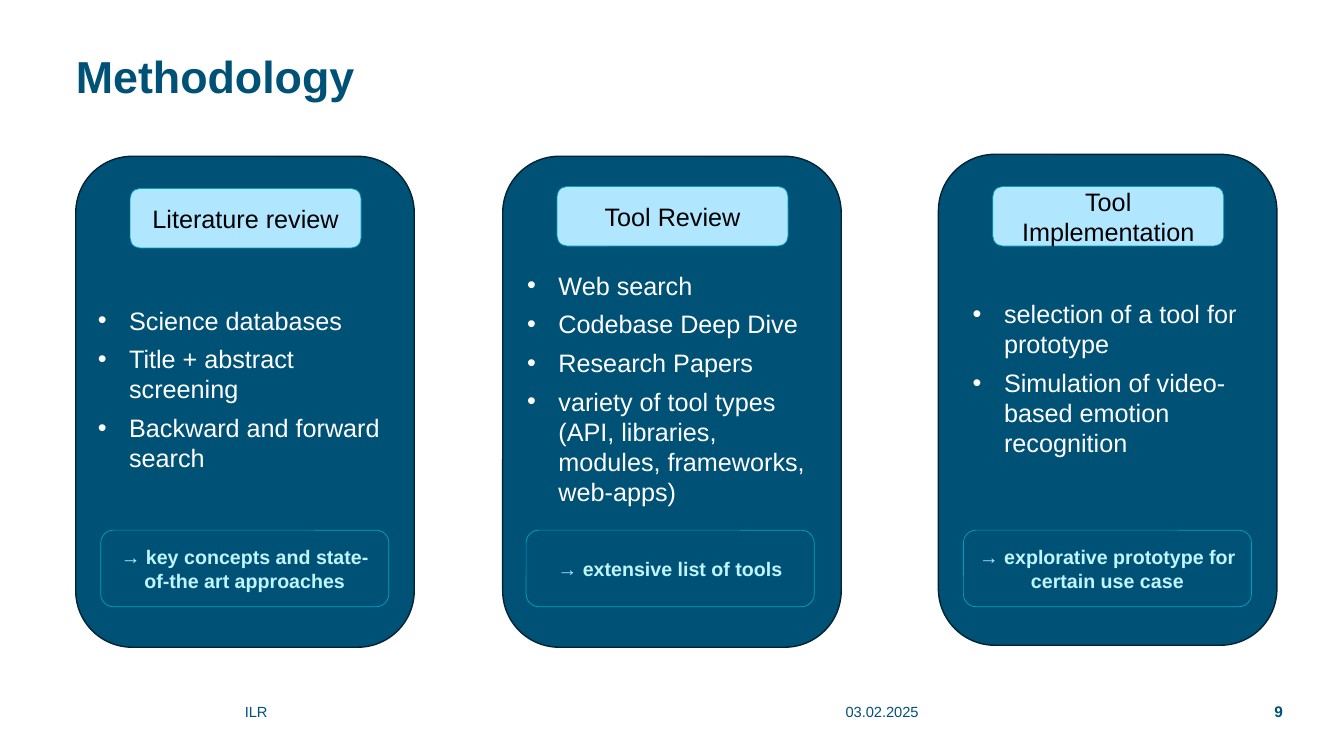
"""Build the Methodology slide: three cards with a heading, a bullet list and an outcome."""
from dataclasses import dataclass

from lxml.etree import SubElement
from pptx import Presentation
from pptx.dml.color import RGBColor
from pptx.enum.shapes import MSO_SHAPE
from pptx.enum.text import MSO_ANCHOR, MSO_AUTO_SIZE, PP_ALIGN
from pptx.oxml.ns import qn
from pptx.shapes.autoshape import Shape
from pptx.slide import Slide
from pptx.text.text import Font, TextFrame
from pptx.util import Cm, Pt

NAVY = RGBColor(0x00, 0x51, 0x76)
CARD_EDGE = RGBColor(0x00, 0x24, 0x34)
CYAN_EDGE = RGBColor(0x00, 0xA1, 0xC0)
SKY = RGBColor(0xB1, 0xE6, 0xFF)
ICE = RGBColor(0xBF, 0xF5, 0xFF)
WHITE = RGBColor(0xFF, 0xFF, 0xFF)
BLACK = RGBColor(0x00, 0x00, 0x00)

CARD_WIDTH, CARD_HEIGHT = 8.53, 12.37
HEADING_INSET, HEADING_WIDTH, HEADING_HEIGHT = 1.37, 5.82, 1.5
LIST_WIDTH, LIST_INDENT = 8.0, 0.79
OUTCOME_TOP, OUTCOME_WIDTH, OUTCOME_HEIGHT = 13.36, 7.26, 1.93
FOOTER_TOP, FOOTER_HEIGHT = 17.58, 0.69


@dataclass(frozen=True)
class Step:
    """One card; positions are in centimetres."""
    heading: str
    points: tuple[str, ...]
    outcome: str
    arrow_color: RGBColor
    left: float
    top: float
    heading_top: float
    list_left: float
    list_top: float
    list_height: float
    outcome_left: float


@dataclass(frozen=True)
class FooterItem:
    """One footer text; positions are in centimetres."""
    text: str
    left: float
    width: float
    size: float
    bold: bool = False
    align: PP_ALIGN = PP_ALIGN.LEFT


STEPS = (
    Step("Literature review",
         ("Science databases", "Title + abstract screening", "Backward and forward search"),
         "key concepts and state-of-the art approaches", ICE,
         1.91, 3.94, 4.75, 2.21, 7.54, 4.52, 2.54),
    Step("Tool Review",
         ("Web search", "Codebase Deep Dive", "Research Papers",
          "variety of tool types (API, libraries, modules, frameworks, web-apps)"),
         "extensive list of tools", SKY,
         12.67, 3.94, 4.7, 13.03, 6.65, 6.27, 13.26),
    Step("Tool Implementation",
         ("selection of a tool for prototype", "Simulation of video-based emotion recognition"),
         "explorative prototype for certain use case", SKY,
         23.65, 3.89, 4.7, 24.26, 7.37, 4.32, 24.28),
)

FOOTER = (
    FooterItem("ILR", 6.17, 14.35, 10.5),
    FooterItem("03.02.2025", 21.31, 3.4, 10.5),
    FooterItem("9", 24.71, 7.62, 11, True, PP_ALIGN.RIGHT),
)


def style(font: Font, size: float, color: RGBColor, bold: bool = False) -> None:
    """Set the typeface, size, colour and weight."""
    font.name, font.size, font.bold = "Arial", Pt(size), bold
    font.color.rgb = color


def place(shape: Shape, left: float, top: float, width: float, height: float) -> None:
    """Move and size a shape, in centimetres."""
    shape.left, shape.top = Cm(left), Cm(top)
    shape.width, shape.height = Cm(width), Cm(height)


def clear_margins(frame: TextFrame) -> None:
    """Remove the inner margins of a text frame."""
    frame.margin_left = frame.margin_right = frame.margin_top = frame.margin_bottom = 0


def add_panel(page: Slide, left: float, top: float, width: float, height: float,
              fill: RGBColor, edge: RGBColor, edge_width: float) -> Shape:
    """Add a rounded rectangle ready for centred text."""
    panel = page.shapes.add_shape(MSO_SHAPE.ROUNDED_RECTANGLE,
                                  Cm(left), Cm(top), Cm(width), Cm(height))
    panel.shadow.inherit = False
    panel.fill.solid()
    panel.fill.fore_color.rgb = fill
    panel.line.color.rgb = edge
    panel.line.width = Pt(edge_width)
    frame = panel.text_frame
    frame.word_wrap = True
    frame.vertical_anchor = MSO_ANCHOR.MIDDLE
    frame.paragraphs[0].alignment = PP_ALIGN.CENTER
    return panel


def fill_list(box: Shape, step: Step) -> None:
    """Place a body placeholder above its card and write the bullets."""
    place(box, step.list_left, step.list_top, LIST_WIDTH, step.list_height)
    box.element.getparent().append(box.element)
    frame = box.text_frame
    frame.text = "\n".join(step.points)
    frame.word_wrap = True
    frame.auto_size = MSO_AUTO_SIZE.NONE
    frame.vertical_anchor = MSO_ANCHOR.MIDDLE
    for index, para in enumerate(frame.paragraphs):
        para.space_before = Pt(6 if index else 0)
        properties = para._p.get_or_add_pPr()
        properties.set("marL", str(Cm(LIST_INDENT)))
        properties.set("indent", str(-Cm(LIST_INDENT)))
        SubElement(properties, qn("a:buFont"), typeface="Arial")
        SubElement(properties, qn("a:buChar"), char="•")
        for span in para.runs:
            style(span.font, 18, WHITE)


def add_step(page: Slide, step: Step, box: Shape) -> None:
    """Draw one card with its heading, outcome and list."""
    add_panel(page, step.left, step.top, CARD_WIDTH, CARD_HEIGHT, NAVY, CARD_EDGE, 1)
    heading = add_panel(page, step.left + HEADING_INSET, step.heading_top,
                        HEADING_WIDTH, HEADING_HEIGHT, SKY, CYAN_EDGE, 0.5)
    para = heading.text_frame.paragraphs[0]
    para.text = step.heading
    style(para.runs[0].font, 18, BLACK)
    outcome = add_panel(page, step.outcome_left, OUTCOME_TOP,
                        OUTCOME_WIDTH, OUTCOME_HEIGHT, NAVY, CYAN_EDGE, 0.5)
    para = outcome.text_frame.paragraphs[0]
    for text, color, bold in (("→ ", step.arrow_color, False), (step.outcome, ICE, True)):
        span = para.add_run()
        span.text = text
        style(span.font, 14, color, bold)
    fill_list(box, step)


def add_title(page: Slide, text: str) -> None:
    """Write the slide title at the top left."""
    title = page.shapes.title
    place(title, 1.91, 1.37, 30.43, 3.38)
    frame = title.text_frame
    frame.text = text
    frame.auto_size = MSO_AUTO_SIZE.NONE
    frame.vertical_anchor = MSO_ANCHOR.TOP
    clear_margins(frame)
    para = frame.paragraphs[0]
    para.alignment = PP_ALIGN.LEFT
    para.line_spacing = 0.9
    style(para.runs[0].font, 32, NAVY, True)


def add_footer(page: Slide, item: FooterItem) -> None:
    """Add one footer text."""
    box = page.shapes.add_textbox(Cm(item.left), Cm(FOOTER_TOP),
                                  Cm(item.width), Cm(FOOTER_HEIGHT))
    frame = box.text_frame
    frame.text = item.text
    frame.word_wrap = True
    frame.vertical_anchor = MSO_ANCHOR.MIDDLE
    clear_margins(frame)
    para = frame.paragraphs[0]
    para.alignment = item.align
    style(para.runs[0].font, item.size, NAVY, item.bold)


def main() -> None:
    """Build and save the deck."""
    deck = Presentation()
    deck.slide_width, deck.slide_height = Cm(33.87), Cm(19.05)
    page = deck.slides.add_slide(deck.slide_layouts.get_by_name("Comparison"))
    add_title(page, "Methodology")
    *boxes, spare = [box for box in page.placeholders if box.placeholder_format.idx]
    spare.element.getparent().remove(spare.element)
    for step, box in zip(STEPS, boxes):
        add_step(page, step, box)
    for item in FOOTER:
        add_footer(page, item)
    deck.save("out.pptx")


if __name__ == "__main__":
    main()
